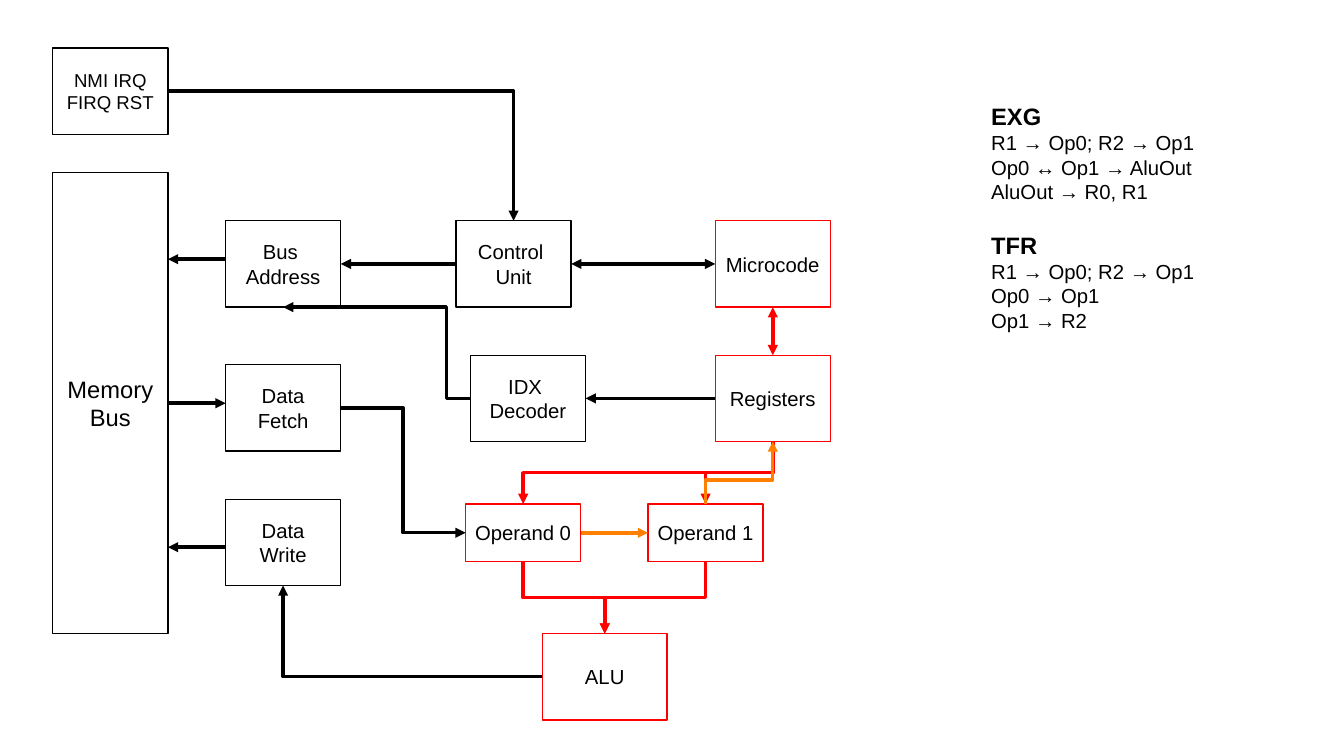
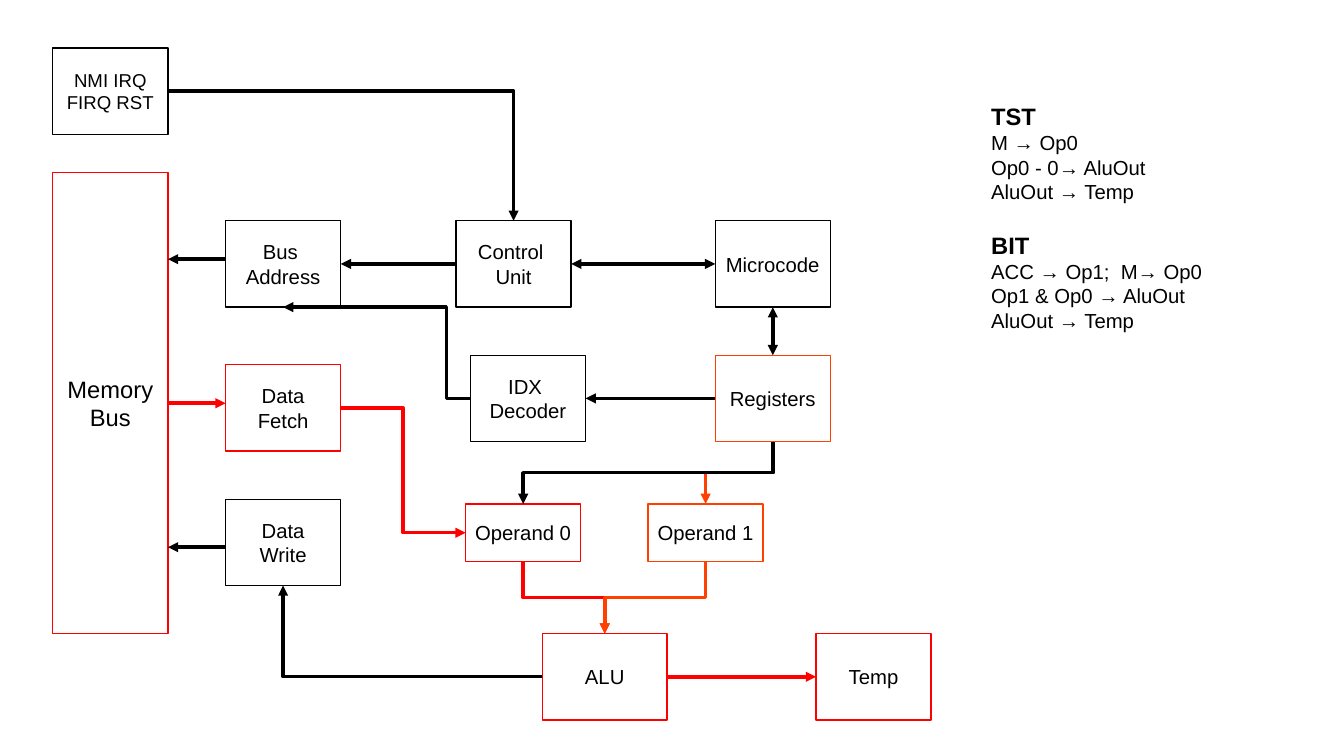
from lxml import etree
from pptx import Presentation
from pptx.dml.color import RGBColor
from pptx.enum.shapes import MSO_CONNECTOR, MSO_SHAPE
from pptx.enum.text import MSO_ANCHOR, MSO_AUTO_SIZE, PP_ALIGN
from pptx.oxml.ns import qn
from pptx.util import Cm, Pt

RECTANGLE = MSO_SHAPE.RECTANGLE
STRAIGHT, ELBOW = MSO_CONNECTOR.STRAIGHT, MSO_CONNECTOR.ELBOW
MIDDLE = MSO_ANCHOR.MIDDLE
LEFT_ALIGNED, CENTRED = PP_ALIGN.LEFT, PP_ALIGN.CENTER
FIT_SHAPE = MSO_AUTO_SIZE.SHAPE_TO_FIT_TEXT
TOP, LEFT, BOTTOM, RIGHT = range(4)

COLOURS = {"black": "000000", "white": "FFFFFF", "red": "FF0000",
           "orange": "FF8000", "vermilion": "FF4000"}
FONT = "Arial"
HAIRLINE = Pt(0)

# Blocks of the processor: text, left, top, width, height (cm), text size
BLOCKS = {
    "control": ("Control \nUnit", 9.5, 4.6, 2.4, 1.8, 12),
    "registers": ("Registers", 14.9, 7.4, 2.4, 1.8, 12),
    "decoder": ("IDX \nDecoder", 9.8, 7.4, 2.4, 1.8, 12),
    "microcode": ("Microcode", 14.9, 4.6, 2.4, 1.8, 12),
    "alu": ("ALU", 11.3, 13.2, 2.6, 1.8, 12),
    "address": ("Bus \nAddress", 4.7, 4.6, 2.4, 1.8, 12),
    "fetch": ("Data\nFetch", 4.7, 7.6, 2.4, 1.8, 12),
    "write": ("Data\nWrite", 4.7, 10.4, 2.4, 1.8, 12),
    "memory": ("Memory\nBus", 1.1, 3.6, 2.4, 9.6, 14),
    "operand0": ("Operand 0", 9.7, 10.5, 2.4, 1.2, 12),
    "interrupts": ("NMI IRQ\nFIRQ RST", 1.1, 1.0, 2.4, 1.8, 11),
    "operand1": ("Operand 1", 13.5, 10.5, 2.4, 1.2, 12),
}
TEMP_BLOCK = {"temp": ("Temp", 17.0, 13.2, 2.4, 1.8, 12)}

# Wires joined at both ends: start, side, end, side, route, bend position
WIRES = [
    ("alu", LEFT, "write", BOTTOM, "corner", None),
    ("operand0", BOTTOM, "alu", TOP, "vertical", 0.5),
    ("operand1", BOTTOM, "alu", TOP, "vertical", 0.5),
    ("registers", LEFT, "decoder", RIGHT, "straight", None),
    ("control", LEFT, "address", RIGHT, "straight", None),
    ("fetch", RIGHT, "operand0", LEFT, "horizontal", 0.5),
    ("registers", BOTTOM, "operand1", TOP, "vertical", 0.5),
    ("registers", BOTTOM, "operand0", TOP, "vertical", 0.5),
    ("interrupts", RIGHT, "control", TOP, "corner", None),
    ("microcode", BOTTOM, "registers", TOP, "straight", None),
    ("control", RIGHT, "microcode", LEFT, "straight", None),
]
TWO_WAY = {("microcode", "registers"), ("control", "microcode")}

# Wires of the memory bus: start, end, start x, end x, y (cm)
BUS_LEFT, BUS_RIGHT = 3.5, 4.7
BUS_WIRES = [
    ("address", "memory", BUS_RIGHT, BUS_LEFT, 5.4),
    ("memory", "fetch", BUS_LEFT, BUS_RIGHT, 8.4),
    ("write", "memory", BUS_RIGHT, BUS_LEFT, 11.4),
]

SLIDES = [
    {
        "blocks": BLOCKS,
        "wires": WIRES + [
            ("operand0", RIGHT, "operand1", LEFT, "straight", None),
            ("operand1", TOP, "registers", BOTTOM, "vertical", 0.386),
        ],
        "block colours": dict.fromkeys(
            ["registers", "microcode", "alu", "operand0", "operand1"], "red"),
        "wire colours": {
            ("operand0", "alu"): "red",
            ("operand1", "alu"): "red",
            ("registers", "operand1"): "red",
            ("registers", "operand0"): "red",
            ("microcode", "registers"): "red",
            ("operand0", "operand1"): "orange",
            ("operand1", "registers"): "orange",
        },
        "notes": [
            ("EXG", ["R1 → Op0; R2 → Op1", "Op0 ↔ Op1 → AluOut",
                     "AluOut → R0, R1"]),
            ("TFR", ["R1 → Op0; R2 → Op1", "Op0 → Op1", "Op1 → R2"]),
        ],
    },
    {
        "blocks": BLOCKS | TEMP_BLOCK,
        "wires": WIRES + [("alu", RIGHT, "temp", LEFT, "straight", None)],
        "block colours": {
            "registers": "vermilion", "operand1": "vermilion", "alu": "red",
            "fetch": "red", "memory": "red", "operand0": "red", "temp": "red",
        },
        "wire colours": {
            ("memory", "fetch"): "red",
            ("operand0", "alu"): "red",
            ("operand1", "alu"): "vermilion",
            ("fetch", "operand0"): "red",
            ("registers", "operand1"): "vermilion",
            ("alu", "temp"): "red",
        },
        "notes": [
            ("TST", ["M → Op0", "Op0 - 0→ AluOut", "AluOut → Temp"]),
            ("BIT", ["ACC → Op1;  M→ Op0", "Op1 & Op0 → AluOut",
                     "AluOut → Temp"]),
        ],
    },
]


def write_line(text_frame, text, size=12, bold=False, align=LEFT_ALIGNED, before=0):
    """Fill the empty first paragraph, or add one below the others."""
    paragraph = text_frame.paragraphs[0]
    if paragraph.runs:
        paragraph = text_frame.add_paragraph()
    paragraph.alignment = align
    paragraph.space_before = Pt(before)
    run = paragraph.add_run()
    run.text = text
    run.font.name, run.font.size, run.font.bold = FONT, Pt(size), bold
    run.font.color.rgb = RGBColor.from_string(COLOURS["black"])


def style_wire(connector, colour, two_way=False):
    """Draw a hairline with arrowheads and no shadow."""
    connector.line.color.rgb = RGBColor.from_string(COLOURS[colour])
    connector.line.width = HAIRLINE
    properties = connector._element.spPr
    line = properties.find(qn("a:ln"))
    for end in ["a:headEnd", "a:tailEnd"] if two_way else ["a:tailEnd"]:
        etree.SubElement(line, qn(end), type="triangle")
    etree.SubElement(properties, qn("a:effectLst"))


presentation = Presentation()
presentation.slide_width, presentation.slide_height = Cm(28), Cm(15.75)
blank_layout = presentation.slide_layouts[6]

for content in SLIDES:
    slide = presentation.slides.add_slide(blank_layout)
    wire_colours = content["wire colours"]

    # Blocks
    blocks = {}
    for name, (text, left, top, width, height, size) in content["blocks"].items():
        shape = slide.shapes.add_shape(
            RECTANGLE, Cm(left), Cm(top), Cm(width), Cm(height))
        shape.shadow.inherit = False
        shape.fill.solid()
        shape.fill.fore_color.rgb = RGBColor.from_string(COLOURS["white"])
        outline = content["block colours"].get(name, "black")
        shape.line.color.rgb = RGBColor.from_string(COLOURS[outline])
        shape.line.width = HAIRLINE
        shape.text_frame.word_wrap = False
        shape.text_frame.vertical_anchor = MIDDLE
        for line_text in text.split("\n"):
            write_line(shape.text_frame, line_text, size=size, align=CENTRED)
        blocks[name] = shape

    # Memory bus wires
    for start, end, start_x, end_x, y in BUS_WIRES:
        connector = slide.shapes.add_connector(
            STRAIGHT, Cm(start_x), Cm(y), Cm(end_x), Cm(y))
        style_wire(connector, wire_colours.get((start, end), "black"))

    # Wires between blocks; the decoder's wire ends free under the bus address
    decoder_wire = ("decoder", LEFT, None, None, "horizontal", 0.128)
    for start, start_side, end, end_side, route, bend in [decoder_wire] + content["wires"]:
        connector = slide.shapes.add_connector(
            STRAIGHT if route == "straight" else ELBOW, 0, 0, Cm(5.9), Cm(6.4))
        connector.begin_connect(blocks[start], start_side)
        if end:
            connector.end_connect(blocks[end], end_side)
        style_wire(connector, wire_colours.get((start, end), "black"),
                   two_way=(start, end) in TWO_WAY)

        geometry = connector._element.spPr.find(qn("a:prstGeom"))
        if route == "corner":
            geometry.set("prst", "bentConnector2")
        if bend:
            guides = geometry.find(qn("a:avLst"))
            etree.SubElement(guides, qn("a:gd"), name="adj1",
                             fmla=f"val {round(bend * 100000)}")
        if route == "vertical":
            # A quarter turn makes the elbow leave downwards or upwards
            across = connector.end_x - connector.begin_x
            down = connector.end_y - connector.begin_y
            centre_x = (connector.begin_x + connector.end_x) // 2
            centre_y = (connector.begin_y + connector.end_y) // 2
            connector.width, connector.height = abs(down), abs(across)
            connector.left = centre_x - abs(down) // 2
            connector.top = centre_y - abs(across) // 2
            transform = connector._element.spPr.find(qn("a:xfrm"))
            transform.set("rot", "5400000")
            transform.set("flipH", str(int(down < 0)))
            transform.set("flipV", str(int(across > 0)))

    # Instruction notes
    notes = slide.shapes.add_textbox(Cm(20.4), Cm(2), Cm(6.8), Cm(5.3)).text_frame
    notes.word_wrap = True
    notes.auto_size = FIT_SHAPE
    for index, (instruction, steps) in enumerate(content["notes"]):
        write_line(notes, instruction, size=14, bold=True, before=16 * index)
        for step in steps:
            write_line(notes, step)

presentation.save("out.pptx")
